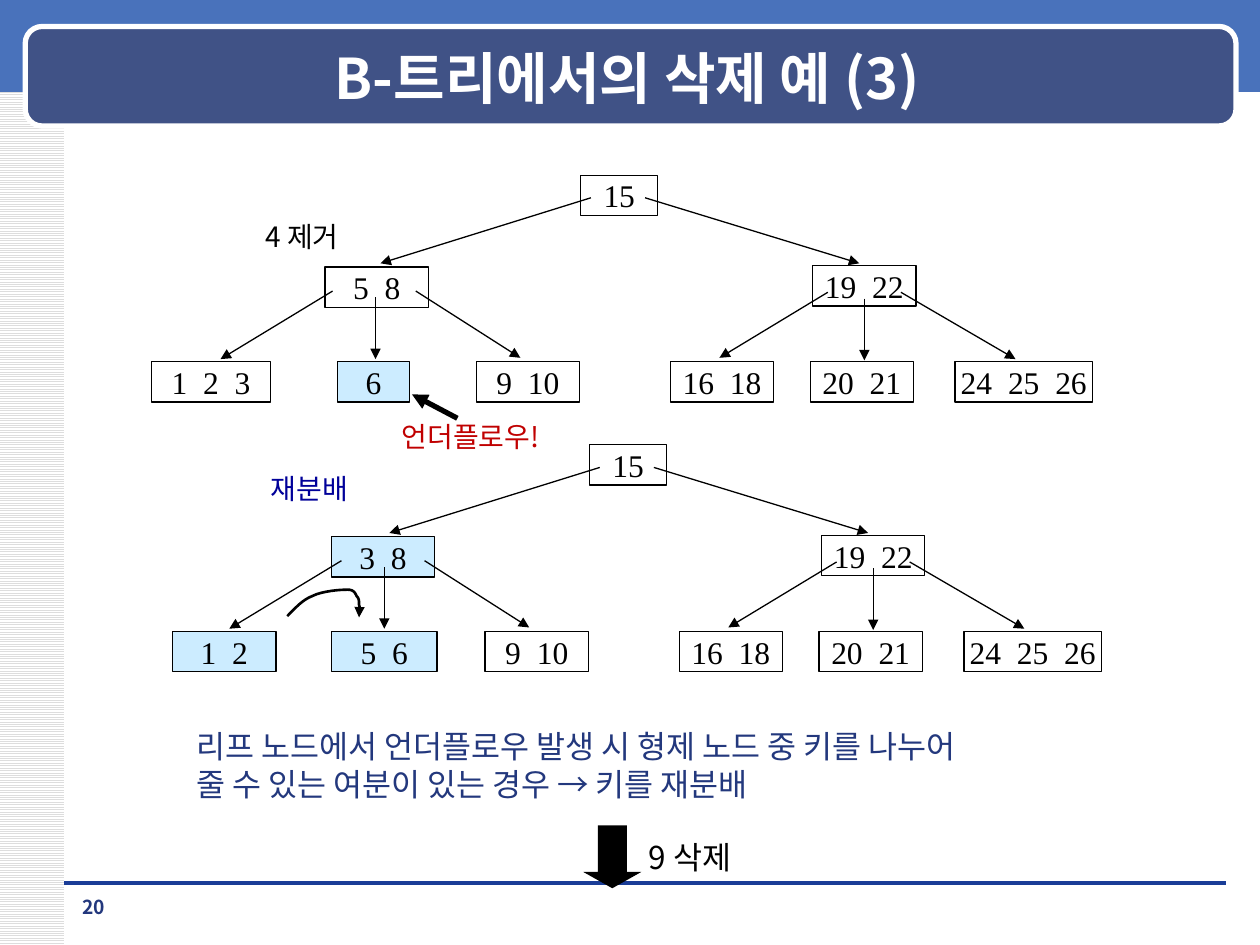
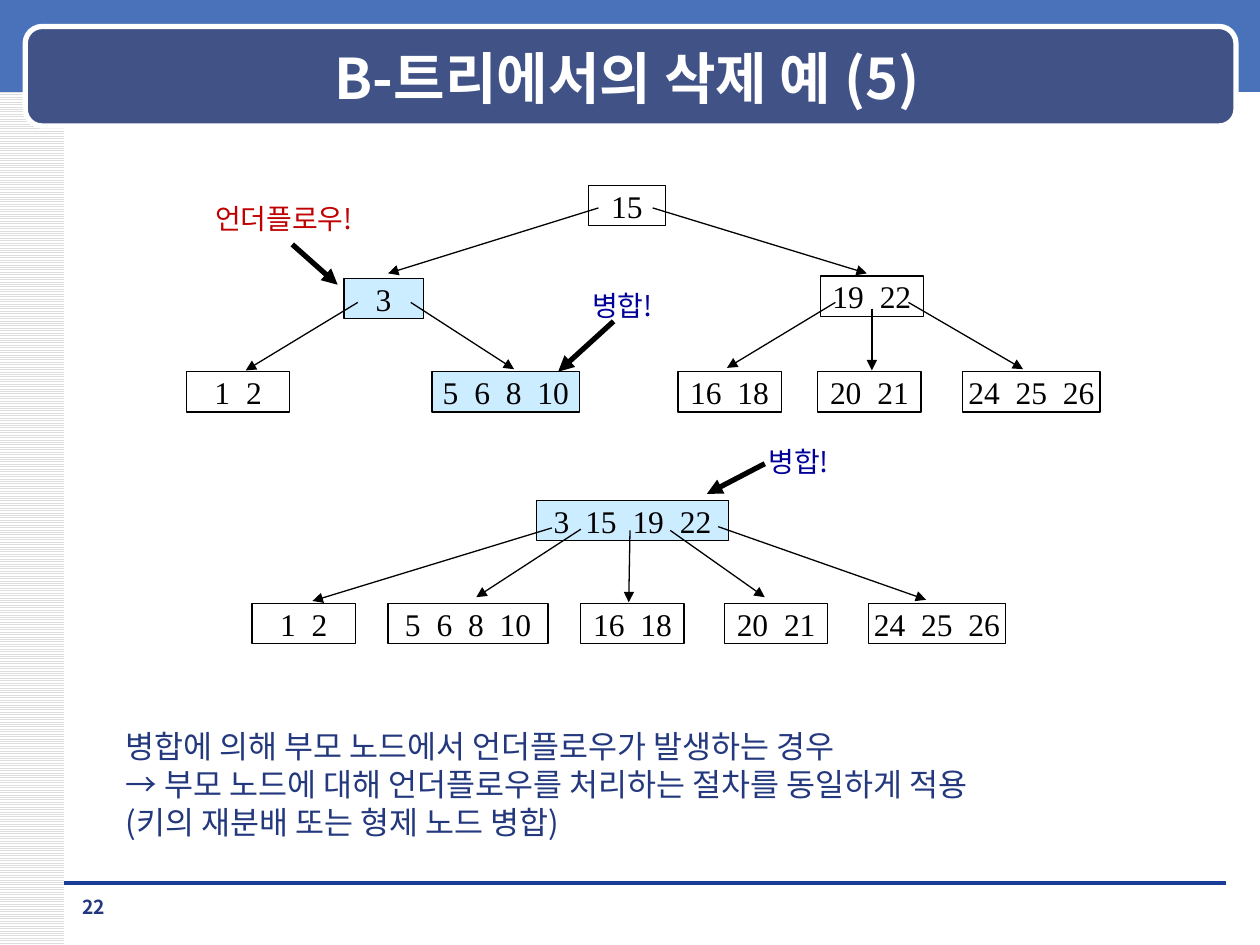
from dataclasses import dataclass
from typing import Any

from lxml import etree
from pptx import Presentation
from pptx.dml.color import RGBColor
from pptx.enum.dml import MSO_PATTERN
from pptx.enum.shapes import MSO_CONNECTOR, MSO_SHAPE
from pptx.enum.text import MSO_ANCHOR, MSO_AUTO_SIZE, PP_ALIGN
from pptx.oxml.ns import qn
from pptx.util import Inches, Pt

RECT, ROUNDED, DOWN_ARROW = MSO_SHAPE.RECTANGLE, MSO_SHAPE.ROUNDED_RECTANGLE, MSO_SHAPE.DOWN_ARROW
STRAIGHT = MSO_CONNECTOR.STRAIGHT
STRIPES = MSO_PATTERN.LIGHT_HORIZONTAL
LEFT, CENTER = PP_ALIGN.LEFT, PP_ALIGN.CENTER
TOP, MIDDLE = MSO_ANCHOR.TOP, MSO_ANCHOR.MIDDLE
GROW, FIXED = MSO_AUTO_SIZE.SHAPE_TO_FIT_TEXT, MSO_AUTO_SIZE.NONE

SLIDE_W, SLIDE_H = Inches(10), Inches(7.5)
COLUMNS, ROWS = 100, 75
COLUMN, ROW = SLIDE_W / COLUMNS, SLIDE_H / ROWS


@dataclass(frozen=True)
class Theme:
    sans: str = "Noto Sans CJK KR"
    serif: str = "Times New Roman"
    white: str = "FFFFFF"
    black: str = "000000"
    stripe: str = "DDDDDD"
    band: str = "4972BB"
    title_bar: str = "405286"
    rule: str = "1A3D97"
    note: str = "23387D"
    alert: str = "C00000"
    action: str = "000099"
    changed: str = "CCECFF"
    title_size: float = 32
    key_size: float = 18
    note_size: float = 18
    label_size: float = 16
    page_size: float = 11
    leading: float = 1.2
    key_gap: int = 450
    thin: float = 0.75
    curve: float = 1.5
    thick: float = 3


THEME = Theme()


@dataclass(frozen=True)
class Region:
    slide: Any
    left: float = 0
    top: float = 0

    def point(self, x, y):
        return round((self.left + x) * COLUMN), round((self.top + y) * ROW)

    def box(self, x, y, w, h):
        return *self.point(x, y), round(w * COLUMN), round(h * ROW)


def rgb(value):
    return RGBColor.from_string(value)


def style_outline(line, color, width):
    line.color.rgb = rgb(color)
    line.width = Pt(width)


def add_arrowhead(shape):
    outline = shape._element.spPr.find(qn("a:ln"))
    etree.SubElement(outline, qn("a:tailEnd"), type="triangle")


def add_block(region, kind, box, fill=None, outline=None, width=0, adjustments=()):
    block = region.slide.shapes.add_shape(kind, *region.box(*box))
    block.shadow.inherit = False
    for index, value in enumerate(adjustments):
        block.adjustments[index] = value
    if fill:
        block.fill.solid()
        block.fill.fore_color.rgb = rgb(fill)
    else:
        block.fill.background()
    if outline:
        style_outline(block.line, outline, width)
    else:
        block.line.fill.background()
    return block


def add_line(region, ends, color=THEME.black, width=THEME.thin, arrow=True):
    x1, y1, x2, y2 = ends
    line = region.slide.shapes.add_connector(STRAIGHT, *region.point(x1, y1), *region.point(x2, y2))
    style_outline(line.line, color, width)
    if arrow:
        add_arrowhead(line)
    etree.SubElement(line._element.spPr, qn("a:effectLst"))


def style_run(run, face, size, color, bold=False):
    for attribute, value in {"size": Pt(size), "name": face, "bold": bold}.items():
        setattr(run.font, attribute, value)
    run.font.color.rgb = rgb(color)
    etree.SubElement(run._r.get_or_add_rPr(), qn("a:ea"), typeface=face)


def add_text(region, box, lines, size, color, bold=False, align=LEFT, anchor=TOP,
             wrap=False, leading=THEME.leading):
    frame = region.slide.shapes.add_textbox(*region.box(*box)).text_frame
    settings = {"word_wrap": wrap, "auto_size": FIXED if wrap else GROW, "vertical_anchor": anchor}
    for attribute, value in settings.items():
        setattr(frame, attribute, value)
    for index, line in enumerate(lines):
        paragraph = frame.add_paragraph() if index else frame.paragraphs[0]
        paragraph.text = line
        paragraph.alignment = align
        if leading:
            paragraph.line_spacing = Pt(size * leading)
        for run in paragraph.runs:
            style_run(run, THEME.sans, size, color, bold)


def add_label(region, box, wording, color):
    add_text(region, box, [wording], THEME.label_size, color)


def add_node(region, keys, x, y, width, changed=False):
    node = add_block(region, RECT, (x, y, width, 3.2), THEME.changed if changed else None,
                     THEME.black, THEME.thin)
    frame = node.text_frame
    frame.word_wrap = False
    frame.vertical_anchor = MIDDLE
    paragraph = frame.paragraphs[0]
    paragraph.alignment = CENTER
    for index, key in enumerate(keys.split()):
        if index:
            gap = paragraph.add_run()
            gap.text = " "
            style_run(gap, THEME.serif, THEME.key_size, THEME.black)
            gap._r.get_or_add_rPr().set("spc", str(THEME.key_gap))
        number = paragraph.add_run()
        number.text = key
        style_run(number, THEME.serif, THEME.key_size, THEME.black)


def add_tree(region, nodes, edges):
    for node in nodes:
        add_node(region, *node)
    for edge in edges:
        add_line(region, edge)


ROOT_AND_RIGHT_NODES = [
    ("15", 34.1, 0, 6.1),
    ("19 22", 52.5, 7.2, 8.2),
    ("16 18", 41.2, 14.8, 8.2),
    ("20 21", 52.3, 14.8, 8.2),
    ("24 25 26", 63.8, 14.8, 10.9),
]
ROOT_AND_RIGHT_EDGES = [
    (34.9, 1.8, 18.2, 7), (39.2, 1.8, 56.2, 7),
    (53.7, 9.3, 45.1, 14.5), (56.6, 9.8, 56.6, 14.7), (59.5, 9.3, 68.6, 14.6),
]
THREE_LEFT_EDGES = [(14.4, 9.2, 5.5, 14.6), (17.8, 9.7, 17.8, 14.6), (21, 9.2, 29.3, 14.5)]
TWO_LEFT_EDGES = [(15.8, 9.3, 6.9, 14.7), (20, 9.3, 28.2, 14.6)]


def add_three_level_tree(region, left_nodes, left_edges):
    add_tree(region, ROOT_AND_RIGHT_NODES + left_nodes, ROOT_AND_RIGHT_EDGES + left_edges)


def add_merged_tree(region):
    leaves = [("1 2", 0, 8.2), ("5 6 8 10", 10.8, 12.7), ("16 18", 26.1, 8.2),
              ("20 21", 37.5, 8.2), ("24 25 26", 48.9, 10.9)]
    nodes = [("3 15 19 22", 22.6, 0, 15.2, True)]
    nodes += [(keys, x, 8.2, width) for keys, x, width in leaves]
    edges = [(23.8, 2.2, 4.8, 8), (26.1, 2.3, 17.8, 7.7), (30, 2.4, 29.9, 8.1),
             (33.2, 2.4, 40.7, 7.7), (37, 2.1, 53.5, 7.9)]
    add_tree(region, nodes, edges)


def cubic(start, first, second, end, t):
    weights = ((1 - t) ** 3, 3 * t * (1 - t) ** 2, 3 * t ** 2 * (1 - t), t ** 3)
    return tuple(sum(w * p for w, p in zip(weights, axis)) for axis in zip(start, first, second, end))


def add_key_move(region, steps=8):
    start = here = (0, 2.1)
    curves = [((0.6, 1.5), (1.2, 0.8), (2, 0.5)), ((2.8, 0.1), (4.2, 0), (4.8, 0)),
              ((5.3, 0), (5.4, 0.3), (5.5, 0.5)), ((5.7, 0.7), (5.7, 0.9), (5.7, 1.2)),
              ((5.8, 1.5), (5.7, 1.9), (5.7, 2.2))]
    points = []
    for first, second, end in curves:
        points += [cubic(here, first, second, end, step / steps) for step in range(1, steps + 1)]
        here = end
    builder = region.slide.shapes.build_freeform(*region.point(*start))
    builder.add_line_segments([region.point(*point) for point in points], close=False)
    move = builder.convert_to_shape()
    move.shadow.inherit = False
    move.fill.background()
    style_outline(move.line, THEME.black, THEME.curve)
    add_arrowhead(move)


def add_page(deck, title, number):
    page = Region(deck.slides.add_slide(deck.slide_layouts[6]))
    margin = add_block(page, RECT, (0, 0, 5.1, ROWS), THEME.white)
    margin.fill.patterned()
    margin.fill.pattern = STRIPES
    margin.fill.fore_color.rgb = rgb(THEME.stripe)
    margin.fill.back_color.rgb = rgb(THEME.white)
    add_block(page, RECT, (0, 0, COLUMNS, 7.3), THEME.band)
    add_line(page, (5.1, 70.1, 97.3, 70.1), THEME.rule, 0, arrow=False)
    add_block(page, ROUNDED, (2, 2.1, 96.1, 7.9), THEME.title_bar, THEME.white, THEME.thick, (0.17,))
    add_text(page, (7.1, 3, 85.4, 6.2), [title], THEME.title_size, THEME.white,
             bold=True, align=CENTER, anchor=MIDDLE, wrap=True, leading=None)
    add_text(page, (5.1, 70.6, 4.7, 2.7), [number], THEME.page_size, THEME.note,
             bold=True, align=CENTER, wrap=True)
    return page


def add_next_step(region):
    add_block(region, DOWN_ARROW, (0, 0, 4.6, 5), THEME.black, adjustments=(0.5, 0.28))
    add_text(region, (4.2, 0.5, 9.3, 4), ["9 삭제"], THEME.note_size, THEME.black)


def build_redistribution(deck):
    page = add_page(deck, "B-트리에서의 삭제 예 (3)", "20")
    before = Region(page.slide, 12, 13.9)
    add_three_level_tree(before, [
        ("5 8", 13.8, 7.3, 8.2), ("1 2 3", 0, 14.8, 9.5),
        ("6", 14.8, 14.8, 5.7, True), ("9 10", 25.8, 14.8, 8.2),
    ], THREE_LEFT_EDGES)
    add_label(before, (8.1, 3, 8.6, 3.7), "4 제거", THEME.black)
    add_label(before, (18.9, 18.9, 14, 3.7), "언더플로우!", THEME.alert)
    add_line(before, (24.3, 19.3, 20.7, 17.4), width=THEME.thick)

    after = Region(page.slide, 12.7, 35.3)
    add_three_level_tree(after, [
        ("3 8", 13.6, 7.3, 8.2, True), ("1 2", 1, 14.8, 8.2, True),
        ("5 6", 13.6, 14.8, 8.4, True), ("9 10", 25.8, 14.8, 8.2),
    ], THREE_LEFT_EDGES)
    add_label(after, (7.8, 1.6, 8.8, 3.7), "재분배", THEME.action)
    add_key_move(Region(page.slide, 22.8, 46.8))
    add_text(page, (14.6, 57.2, 72.4, 7.1), [
        "리프 노드에서 언더플로우 발생 시 형제 노드 중 키를 나누어",
        "줄 수 있는 여분이 있는 경우 → 키를 재분배",
    ], THEME.note_size, THEME.note)
    add_next_step(Region(page.slide, 46.3, 65.5))


def build_merge(deck):
    page = add_page(deck, "B-트리에서의 삭제 예 (5)", "22")
    before = Region(page.slide, 12.6, 14.7)
    add_three_level_tree(before, [
        ("3", 14.7, 7.4, 6.3, True), ("1 2", 2.2, 14.8, 8.2),
        ("5 6 8 10", 21.7, 14.8, 11.7, True),
    ], TWO_LEFT_EDGES)
    add_label(before, (3.5, 0.8, 14, 3.7), "언더플로우!", THEME.alert)
    add_line(before, (10.6, 4.7, 14.2, 7.9), width=THEME.thick)
    add_label(before, (33.4, 7.7, 7.2, 3.7), "병합!", THEME.action)
    add_line(before, (36.1, 10.8, 31.7, 14.8), width=THEME.thick)

    after = Region(page.slide, 20, 39.7)
    add_merged_tree(after)
    add_label(after, (40, -4.9, 7.2, 3.7), "병합!", THEME.action)
    add_line(after, (40.7, -2.9, 36.1, -0.5), width=THEME.thick)
    add_text(page, (9, 57.2, 77.3, 10.1), [
        "병합에 의해 부모 노드에서 언더플로우가 발생하는 경우",
        "→ 부모 노드에 대해 언더플로우를 처리하는 절차를 동일하게 적용\n(키의 재분배 또는 형제 노드 병합)",
    ], THEME.note_size, THEME.note)


def main():
    deck = Presentation()
    deck.slide_width, deck.slide_height = SLIDE_W, SLIDE_H
    build_redistribution(deck)
    build_merge(deck)
    deck.save("out.pptx")


if __name__ == "__main__":
    main()
